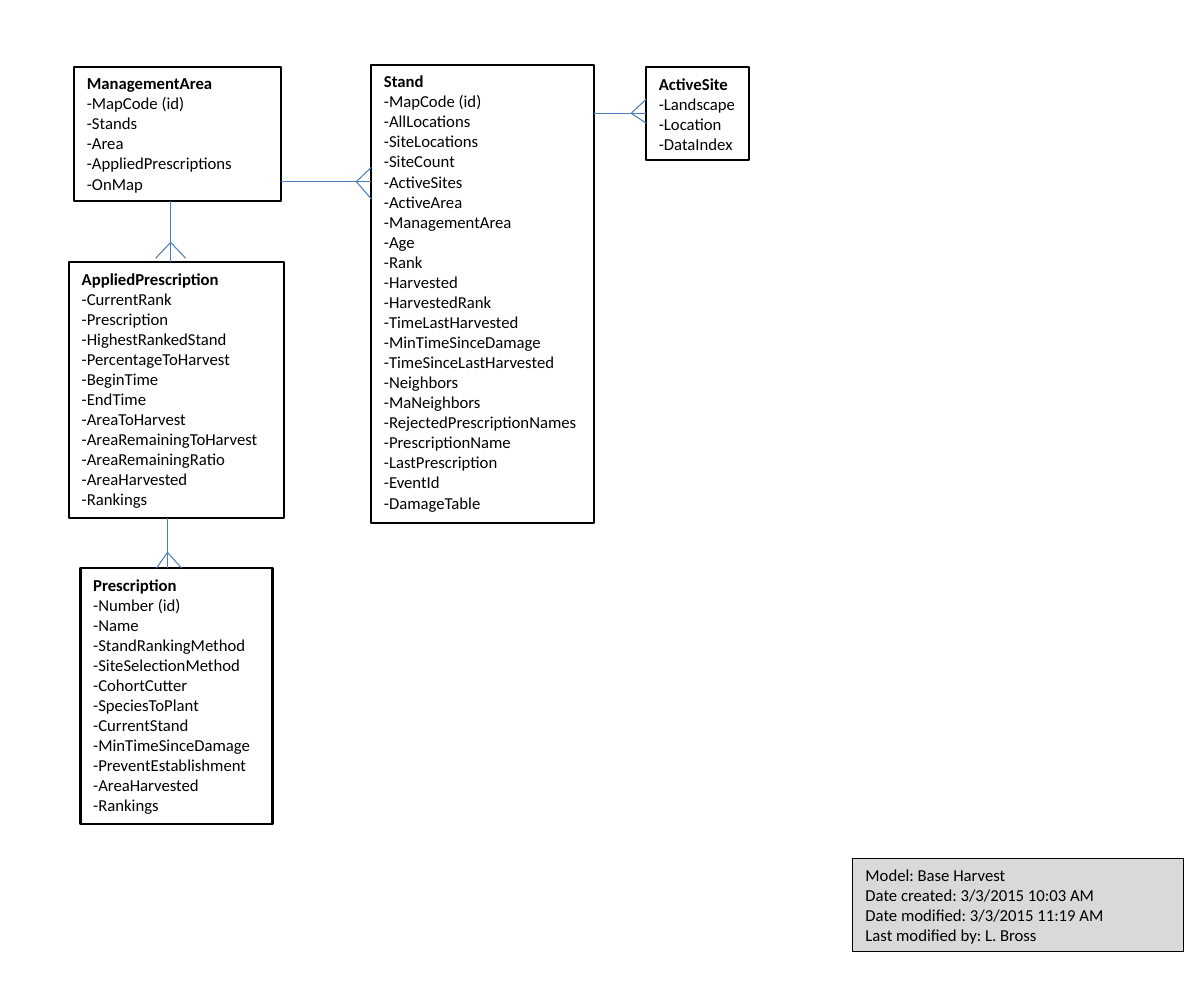
from lxml.etree import SubElement
from pptx import Presentation
from pptx.dml.color import RGBColor
from pptx.enum.shapes import MSO_CONNECTOR as CONNECTOR
from pptx.enum.text import MSO_ANCHOR as ANCHOR, MSO_AUTO_SIZE as AUTO_SIZE, PP_ALIGN as ALIGN
from pptx.oxml.ns import qn
from pptx.util import Cm, Pt

BLACK = RGBColor(0x00, 0x00, 0x00)
GREY = RGBColor(0xD9, 0xD9, 0xD9)
BLUE = RGBColor(0x4B, 0x7E, 0xBC)

ENTITIES = {
    "ManagementArea": ((1.88, 1.69, 5.23, 3.4), [
        "MapCode (id)", "Stands", "Area", "AppliedPrescriptions", "OnMap"]),
    "Stand": ((9.4, 1.64, 5.64, 11.6), [
        "MapCode (id)", "AllLocations", "SiteLocations", "SiteCount", "ActiveSites",
        "ActiveArea", "ManagementArea", "Age", "Rank", "Harvested", "HarvestedRank",
        "TimeLastHarvested", "MinTimeSinceDamage", "TimeSinceLastHarvested", "Neighbors",
        "MaNeighbors", "RejectedPrescriptionNames", "PrescriptionName", "LastPrescription",
        "EventId", "DamageTable"]),
    "AppliedPrescription": ((1.75, 6.64, 5.45, 6.48), [
        "CurrentRank", "Prescription", "HighestRankedStand", "PercentageToHarvest",
        "BeginTime", "EndTime", "AreaToHarvest", "AreaRemainingToHarvest",
        "AreaRemainingRatio", "AreaHarvested", "Rankings"]),
    "Prescription": ((2.04, 14.39, 4.86, 6.48), [
        "Number (id)", "Name", "StandRankingMethod", "SiteSelectionMethod", "CohortCutter",
        "SpeciesToPlant", "CurrentStand", "MinTimeSinceDamage", "PreventEstablishment",
        "AreaHarvested", "Rankings"]),
    "ActiveSite": ((16.36, 1.7, 2.61, 2.36), ["Landscape", "Location", "DataIndex"]),
}

INFO_BOX = (21.59, 21.74, 8.38, 2.36)
INFO = ["Model: Base Harvest", "Date created: 3/3/2015 10:03 AM",
        "Date modified: 3/3/2015 11:19 AM", "Last modified by: L. Bross"]

# parent, child, vertical, position, apex distance, toe distance, toe offsets
LINKS = [
    ("ManagementArea", "Stand", False, 4.6, 0.38, 0, (-0.36, 0.44)),
    ("ManagementArea", "AppliedPrescription", True, 4.32, 0.5, 0.1, (-0.38, 0.38)),
    ("AppliedPrescription", "Prescription", True, 4.24, 0.4, 0, (-0.28, 0.36)),
    ("Stand", "ActiveSite", False, 2.87, 0.38, 0, (-0.36, 0.25)),
]

prs = Presentation()
prs.slide_width, prs.slide_height = Cm(30.48), Cm(25.4)
s = prs.slides.add_slide(prs.slide_layouts[6])


def add_box(box, lines, width, fill=None, heading=False):
    sp = s.shapes.add_textbox(*map(Cm, box))
    if fill is not None:
        sp.fill.solid()
        sp.fill.fore_color.rgb = fill
    sp.line.color.rgb = BLACK
    sp.line.width = Pt(width)
    tf = sp.text_frame
    tf.word_wrap = True
    tf.auto_size = AUTO_SIZE.SHAPE_TO_FIT_TEXT
    tf.vertical_anchor = ANCHOR.TOP
    tf.margin_left, tf.margin_right = Cm(0.32), Cm(0.2)
    tf.margin_top = tf.margin_bottom = Cm(0.16)
    for i, text in enumerate(lines):
        p = tf.add_paragraph() if i else tf.paragraphs[0]
        p.alignment = ALIGN.LEFT
        r = p.add_run()
        r.text = text
        r.font.name, r.font.size = "Calibri", Pt(12)
        r.font.bold = heading and i == 0
        r.font.color.rgb = BLACK


def add_line(vertical, start, end):
    if vertical:
        start, end = start[::-1], end[::-1]
    c = s.shapes.add_connector(CONNECTOR.STRAIGHT, *map(Cm, start + end))
    c.line.color.rgb = BLUE
    c.line.width = Pt(0.75)
    SubElement(c._element.spPr, qn("a:effectLst"))


add_box(INFO_BOX, INFO, 0.75, fill=GREY)
for name, (box, fields) in ENTITIES.items():
    add_box(box, [name] + ["-" + f for f in fields], 1.5, heading=True)

for parent, child, vertical, pos, apex, toe, offsets in LINKS:
    axis = int(vertical)
    parent_box, child_box = ENTITIES[parent][0], ENTITIES[child][0]
    near = parent_box[axis] + parent_box[axis + 2]
    far = child_box[axis]
    add_line(vertical, (near, pos), (far, pos))
    for offset in offsets:
        add_line(vertical, (far - apex, pos), (far - toe, pos + offset))

prs.save("out.pptx")
